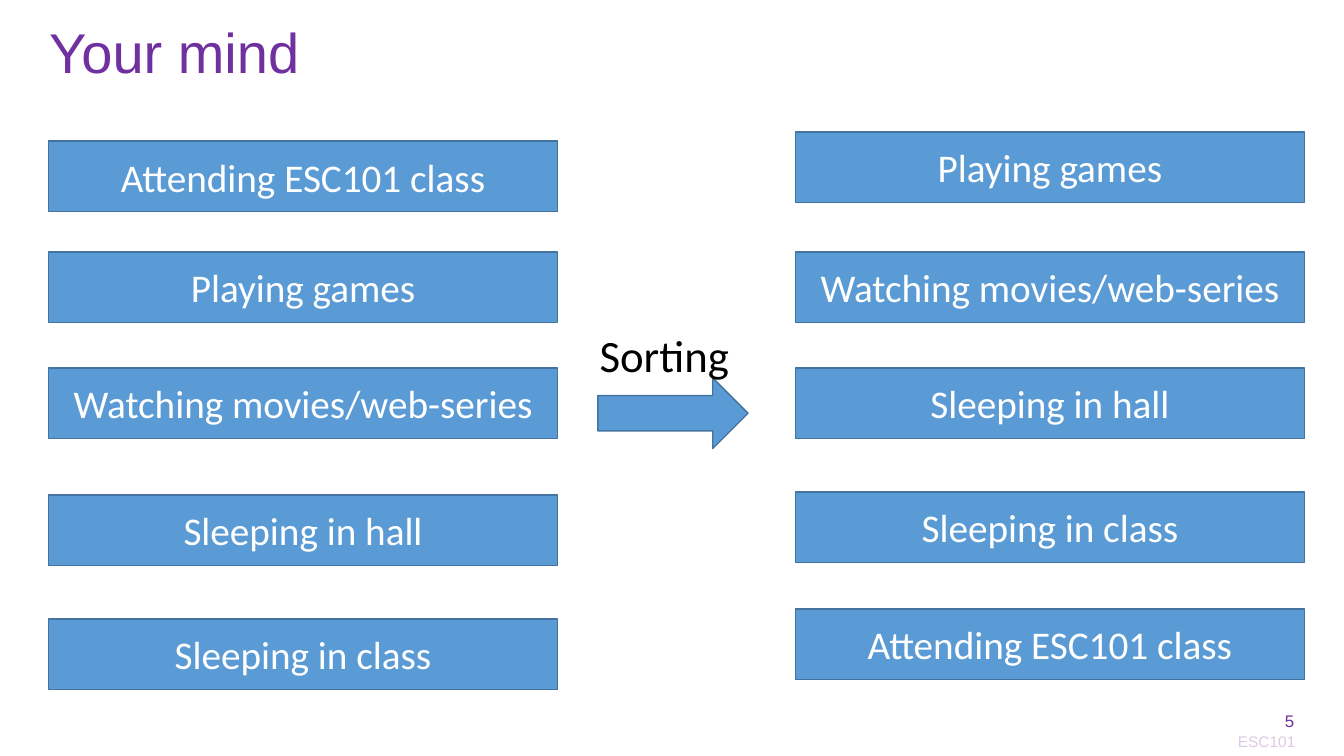
from lxml import etree
from pptx import Presentation
from pptx.dml.color import RGBColor
from pptx.enum.shapes import MSO_SHAPE
from pptx.enum.text import MSO_ANCHOR, PP_ALIGN
from pptx.oxml.ns import qn
from pptx.util import Pt

RECT, ARROW = MSO_SHAPE.RECTANGLE, MSO_SHAPE.RIGHT_ARROW
LEFT, CENTER, RIGHT = PP_ALIGN.LEFT, PP_ALIGN.CENTER, PP_ALIGN.RIGHT
TOP, MIDDLE = MSO_ANCHOR.TOP, MSO_ANCHOR.MIDDLE
PURPLE, BLUE, DARK_BLUE = "7030A0", "5B9BD5", "43739E"
BOX_W, BOX_H = 363.6, 50.4

prs = Presentation()
prs.slide_width, prs.slide_height = Pt(960), Pt(540)
s = prs.slides.add_slide(prs.slide_layouts[6])


def rgb(value):
    return RGBColor.from_string(value)


def write(sp, text, size, font, color, align=LEFT, anchor=TOP, wrap=True):
    """Put one styled paragraph into a shape and return it."""
    tf = sp.text_frame
    tf.word_wrap = wrap
    tf.vertical_anchor = anchor
    p = tf.paragraphs[0]
    p.text = text
    p.alignment = align
    p.font.size = Pt(size)
    p.font.name = font
    p.font.color.rgb = rgb(color)
    return p


# Course code, faded by a translucent white panel
sp = s.shapes.add_textbox(Pt(849.6), Pt(519.1), Pt(110.4), Pt(20.9))
write(sp, "ESC101", 11, "Arial", PURPLE, CENTER)
veil = s.shapes.add_shape(RECT, Pt(849.6), Pt(412.6), Pt(110.4), Pt(127.4))
veil.shadow.inherit = False
veil.fill.solid()
veil.fill.fore_color.rgb = rgb("FFFFFF")
veil.line.fill.background()
white = veil.fill._xPr.find(qn("a:solidFill"))[0]
etree.SubElement(white, qn("a:alpha"), val="75000")

# Title and slide number
sp = s.shapes.add_textbox(Pt(28.1), Pt(0), Pt(903.6), Pt(79.2))
p = write(sp, "Your mind", 40, "Arial", PURPLE, anchor=MIDDLE)
p.line_spacing = 0.9
sp = s.shapes.add_textbox(Pt(894.2), Pt(500.4), Pt(37.4), Pt(28.8))
write(sp, "5", 12, "Arial", PURPLE, RIGHT, MIDDLE)

# Activities before and after sorting: left edge, then top and text of each box
columns = [
    (34.6, [(100.8, "Attending ESC101 class"),
            (180, "Playing games"),
            (262.8, "Watching movies/web-series"),
            (353.5, "Sleeping in hall"),
            (442.1, "Sleeping in class")]),
    (568.1, [(94.3, "Playing games"),
             (180, "Watching movies/web-series"),
             (262.8, "Sleeping in hall"),
             (351.4, "Sleeping in class"),
             (434.9, "Attending ESC101 class")]),
]
blocks = [(RECT, left, top, BOX_W, text)
          for left, boxes in columns for top, text in boxes]
blocks.append((ARROW, 427, 270, 107.3, ""))
for kind, left, top, width, text in blocks:
    sp = s.shapes.add_shape(kind, Pt(left), Pt(top), Pt(width), Pt(BOX_H))
    sp.shadow.inherit = False
    sp.fill.solid()
    sp.fill.fore_color.rgb = rgb(BLUE)
    sp.line.color.rgb = rgb(DARK_BLUE)
    sp.line.width = Pt(1)
    if text:
        write(sp, text, 28, "Calibri", "FFFFFF", CENTER, MIDDLE)

sp = s.shapes.add_textbox(Pt(421.2), Pt(230.4), Pt(108), Pt(46.1))
write(sp, "Sorting", 32, "Calibri", "000000", wrap=False)

prs.save("out.pptx")
